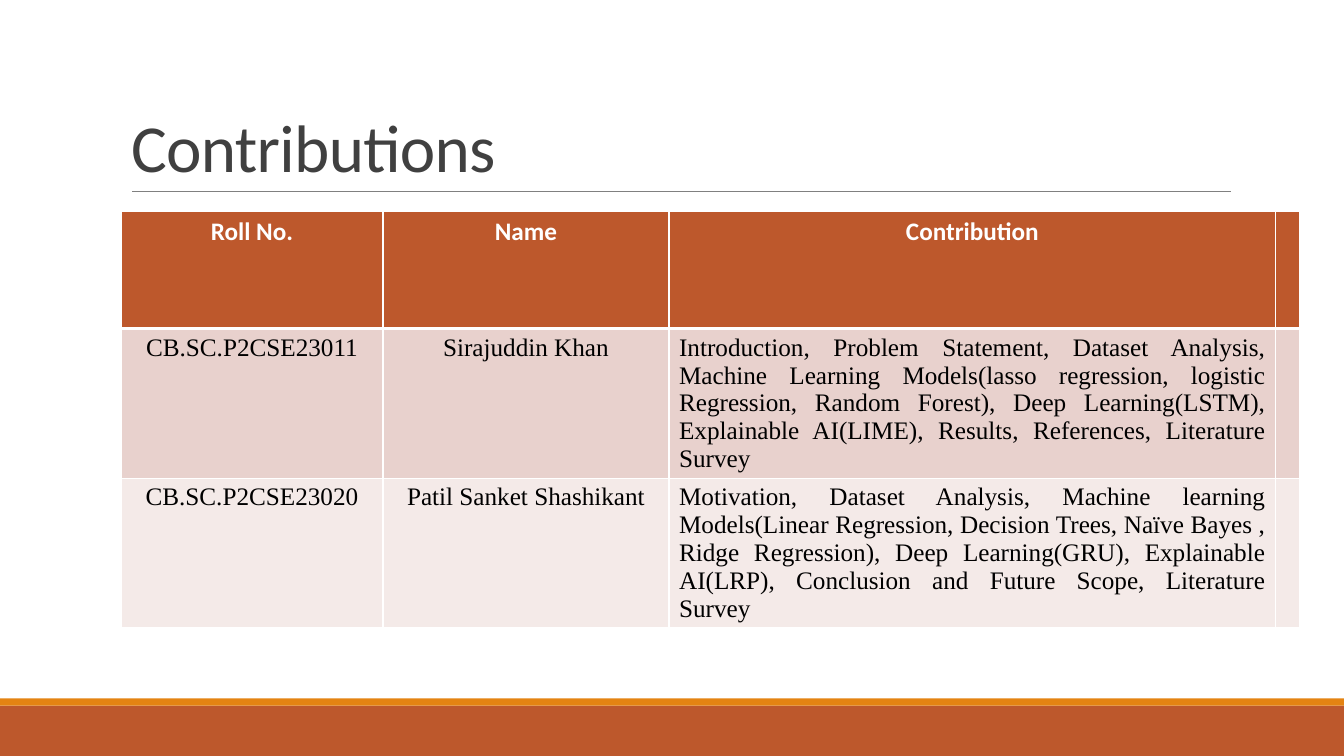
"""Build the Contributions slide: a title, a table of authors and a footer band."""
from dataclasses import dataclass
from typing import Any

from lxml.etree import SubElement
from pptx import Presentation
from pptx.dml.color import RGBColor
from pptx.enum.shapes import MSO_CONNECTOR, MSO_SHAPE
from pptx.enum.text import MSO_ANCHOR, MSO_AUTO_SIZE, PP_ALIGN
from pptx.oxml.ns import qn
from pptx.slide import Slide
from pptx.table import _Cell
from pptx.util import Cm, Pt


@dataclass(frozen=True)
class Theme:
    rust: str = "BD582C"
    amber: str = "E48312"
    white: str = "FFFFFF"
    black: str = "000000"
    charcoal: str = "404040"
    gray: str = "808080"
    row_fills: tuple[str, str] = ("E8D1CD", "F4EAE8")
    heading_font: str = "Calibri"
    body_font: str = "Times New Roman"
    title_size: int = 48
    table_size: int = 18


@dataclass(frozen=True)
class Band:
    top: float
    height: float
    color: str


@dataclass(frozen=True)
class Column:
    heading: str
    width: float
    align: PP_ALIGN


@dataclass(frozen=True)
class RowStyle:
    fill: str
    color: str
    font: str
    bold: bool
    bottom_border: float


THEME = Theme()
SLIDE_WIDTH, SLIDE_HEIGHT = 33.87, 19.05
ROW_HEIGHT = 2.95
BANDS = (Band(17.78, 1.27, THEME.rust), Band(17.6, 0.18, THEME.amber))
COLUMNS = (
    Column("Roll No.", 6.6, PP_ALIGN.CENTER),
    Column("Name", 7.21, PP_ALIGN.CENTER),
    Column("Contribution", 15.29, PP_ALIGN.JUSTIFY),
    Column("", 0.61, PP_ALIGN.LEFT),
)
CONTRIBUTORS = (
    ("CB.SC.P2CSE23011", "Sirajuddin Khan",
     "Introduction, Problem Statement, Dataset Analysis, Machine Learning "
     "Models(lasso regression, logistic Regression, Random Forest), Deep "
     "Learning(LSTM), Explainable AI(LIME), Results, References, Literature Survey", ""),
    ("CB.SC.P2CSE23020", "Patil Sanket Shashikant",
     "Motivation, Dataset Analysis, Machine learning Models(Linear Regression, "
     "Decision Trees, Naïve Bayes , Ridge Regression), Deep Learning(GRU), "
     "Explainable AI(LRP), Conclusion and Future Scope, Literature Survey", ""),
)


def rgb(color: str) -> RGBColor:
    return RGBColor.from_string(color)


def apply(target: Any, values: dict[str, Any]) -> None:
    for attribute, value in values.items():
        setattr(target, attribute, value)


def draw_band(slide: Slide, band: Band) -> None:
    stripe = slide.shapes.add_shape(
        MSO_SHAPE.RECTANGLE, 0, Cm(band.top), Cm(SLIDE_WIDTH), Cm(band.height))
    stripe.shadow.inherit = False
    stripe.fill.solid()
    stripe.fill.fore_color.rgb = rgb(band.color)
    stripe.line.fill.background()


def draw_title_rule(slide: Slide) -> None:
    rule = slide.shapes.add_connector(
        MSO_CONNECTOR.STRAIGHT, Cm(3.33), Cm(4.83), Cm(31.01), Cm(4.83))
    rule.line.color.rgb = rgb(THEME.gray)
    rule.line.width = Pt(0.5)
    SubElement(rule._element.spPr, qn("a:effectLst"))


def write_title(slide: Slide, heading: str) -> None:
    title = slide.shapes.title
    apply(title, {"left": Cm(3.05), "top": Cm(0.79),
                  "width": Cm(27.94), "height": Cm(4.04)})
    apply(title.text_frame, {"text": heading, "word_wrap": True,
                             "auto_size": MSO_AUTO_SIZE.NONE,
                             "vertical_anchor": MSO_ANCHOR.BOTTOM})
    line = title.text_frame.paragraphs[0]
    apply(line, {"alignment": PP_ALIGN.LEFT, "line_spacing": 0.85})
    words = line.runs[0]
    apply(words.font, {"name": THEME.heading_font, "size": Pt(THEME.title_size)})
    words.font.color.rgb = rgb(THEME.charcoal)
    words._r.get_or_add_rPr().set("spc", "-50")


def draw_borders(cell: _Cell, top: float, bottom: float) -> None:
    properties = cell._tc.get_or_add_tcPr()
    for side, points in (("L", 1), ("R", 1), ("T", top), ("B", bottom)):
        border = SubElement(properties, qn(f"a:ln{side}"), w=str(Pt(points)))
        SubElement(SubElement(border, qn("a:solidFill")), qn("a:srgbClr"), val=THEME.white)


def write_cell(cell: _Cell, words: str, align: PP_ALIGN, style: RowStyle, top: float) -> None:
    draw_borders(cell, top, style.bottom_border)
    cell.fill.solid()
    cell.fill.fore_color.rgb = rgb(style.fill)
    cell.text = words
    line = cell.text_frame.paragraphs[0]
    line.alignment = align
    for font in [run.font for run in line.runs] or [line.font]:
        apply(font, {"name": style.font, "size": Pt(THEME.table_size), "bold": style.bold})
        font.color.rgb = rgb(style.color)


def draw_contributions(slide: Slide) -> None:
    header = RowStyle(THEME.rust, THEME.white, THEME.heading_font, True, 3)
    styles = [header] + [RowStyle(fill, THEME.black, THEME.body_font, False, 1)
                         for fill in THEME.row_fills]
    entries = [tuple(column.heading for column in COLUMNS), *CONTRIBUTORS]
    contributions = slide.shapes.add_table(
        len(entries), len(COLUMNS), Cm(3.05), Cm(5.33),
        Cm(sum(column.width for column in COLUMNS)), Cm(ROW_HEIGHT * len(entries))).table
    for index, column in enumerate(COLUMNS):
        contributions.columns[index].width = Cm(column.width)
    top = 1
    for row, (entry, style) in enumerate(zip(entries, styles)):
        contributions.rows[row].height = Cm(ROW_HEIGHT)
        for index, (words, column) in enumerate(zip(entry, COLUMNS)):
            align = PP_ALIGN.CENTER if style is header else column.align
            write_cell(contributions.cell(row, index), words, align, style, top)
        top = style.bottom_border


def main() -> None:
    presentation = Presentation()
    apply(presentation, {"slide_width": Cm(SLIDE_WIDTH), "slide_height": Cm(SLIDE_HEIGHT)})
    slide = presentation.slides.add_slide(presentation.slide_layouts[5])
    for band in BANDS:
        draw_band(slide, band)
    draw_title_rule(slide)
    write_title(slide, "Contributions")
    draw_contributions(slide)
    presentation.save("out.pptx")


if __name__ == "__main__":
    main()
